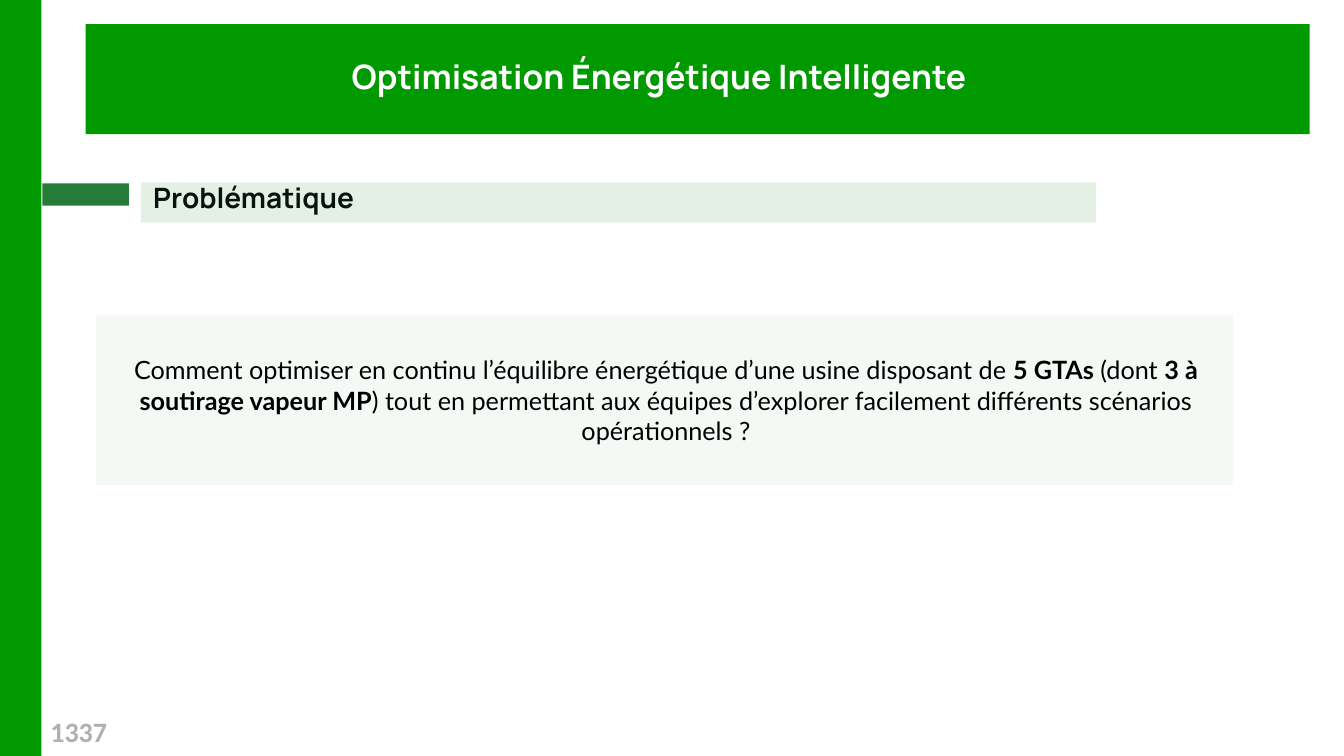
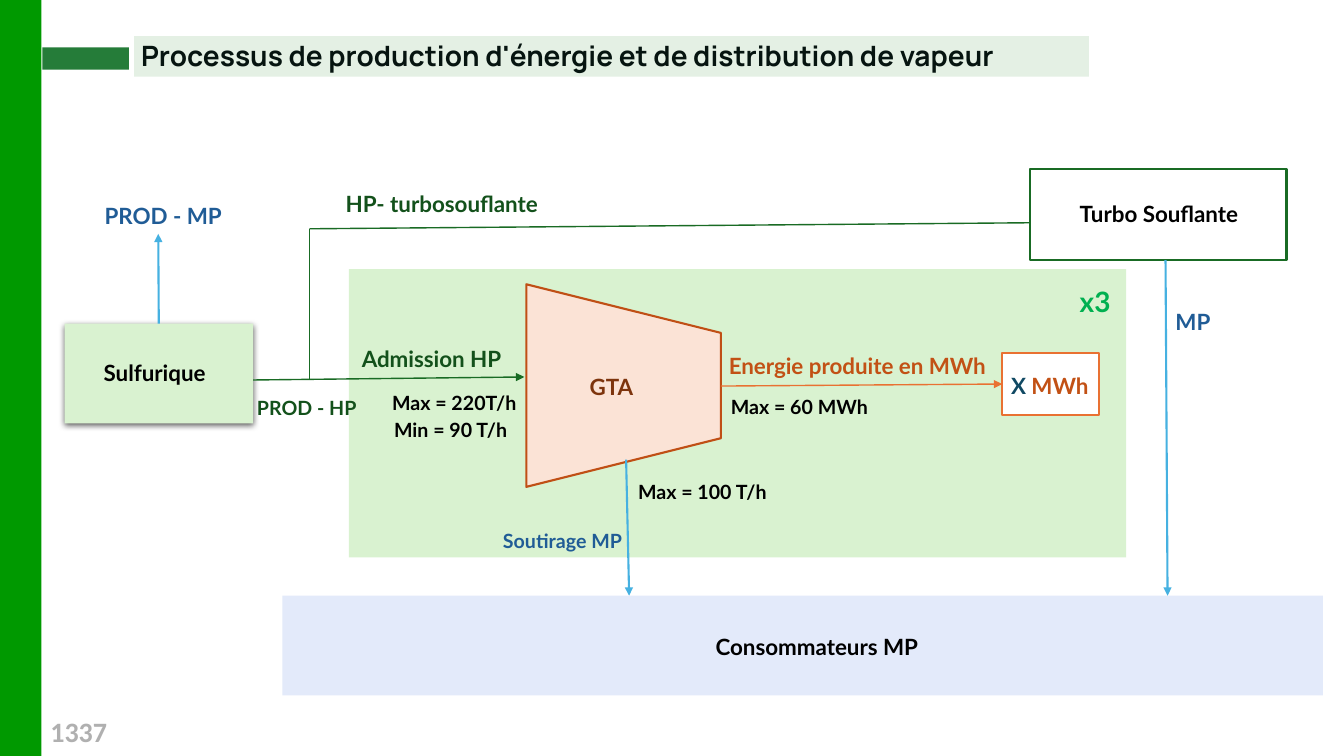
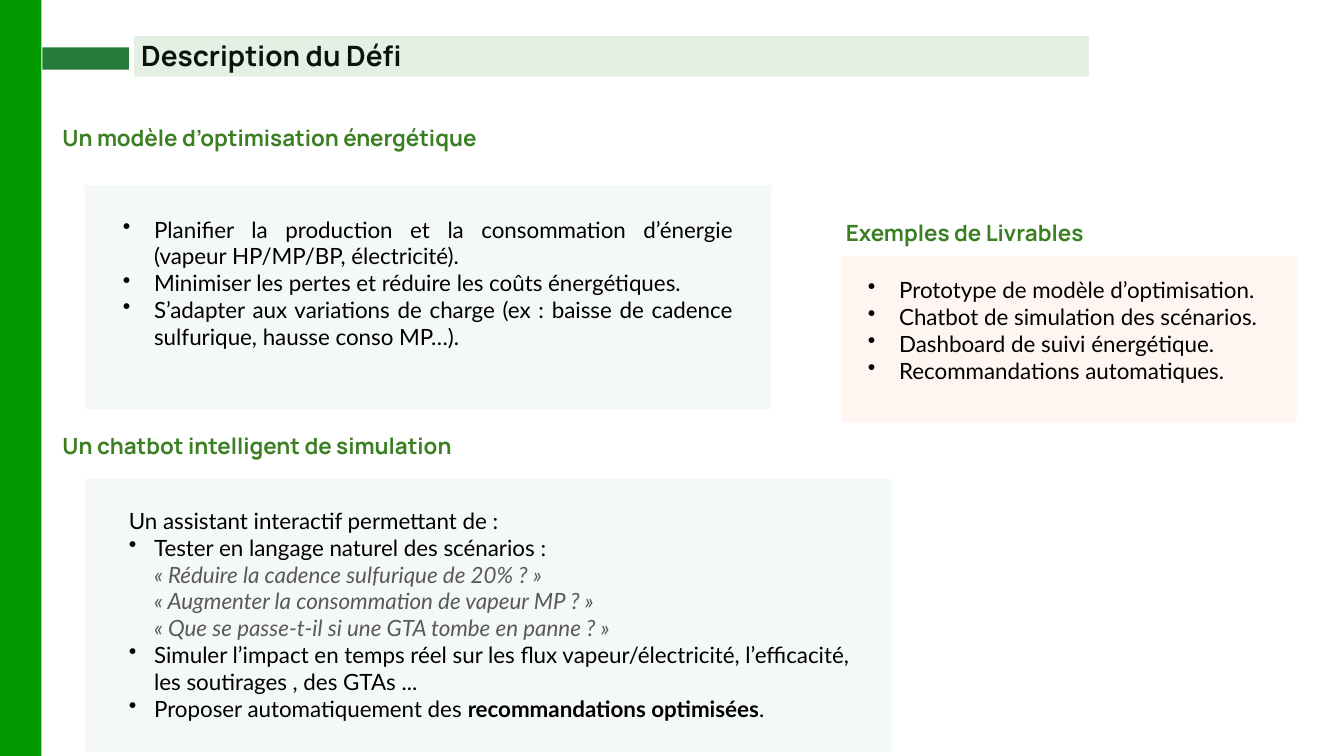
from copy import deepcopy
from dataclasses import dataclass
from typing import Optional

from pptx import Presentation
from pptx.dml.color import RGBColor
from pptx.enum.shapes import MSO_CONNECTOR, MSO_SHAPE
from pptx.enum.text import MSO_AUTO_SIZE, PP_ALIGN
from pptx.oxml.ns import qn
from pptx.oxml.xmlchemy import OxmlElement as new_element
from pptx.util import Inches, Pt

SLIDE_WIDTH, SLIDE_HEIGHT = 13.33, 7.5
BODY_FONT, HEADING_FONT, NUMBER_FONT = "Lato", "Manrope", "Calibri"
COLORS = {
    "brand": "009900", "marker": "257C39", "band": "E4F0E4", "panel": "F5F9F5",
    "peach": "FFF6F2", "zone": "D9F2D0", "turbine": "FBE3D6", "users": "E3EAFA",
    "white": "FFFFFF", "black": "000000", "heading": "061410", "topic": "3B7F23",
    "number": "B0B0B0", "quote": "595959", "hp_line": "196B24", "hp_text": "13511B",
    "mp_line": "46B1E1", "mp_text": "205C96", "power_line": "E97132",
    "power_text": "C25115", "turbine_line": "C04F15", "turbine_text": "7D340D",
    "unknown": "104963", "count": "00B050",
}


@dataclass(frozen=True)
class Span:
    text: str
    color: str = "black"
    bold: bool = False
    italic: bool = False


@dataclass(frozen=True)
class Item:
    spans: tuple[Span, ...]
    indent: float = 0  # hanging bullet indent; 0 means no bullet


@dataclass(frozen=True)
class Area:
    left: float
    top: float
    width: float
    height: float


@dataclass(frozen=True)
class Header:
    band_left: float
    band_top: float
    marker_top: float
    text_left: float
    text_top: float


@dataclass(frozen=True)
class Box:
    name: str
    area: Area
    fill: str
    line: Optional[str] = None
    preset: MSO_SHAPE = MSO_SHAPE.RECTANGLE
    rotation: float = 0


@dataclass(frozen=True)
class Flow:
    start: tuple[float, float]
    end: tuple[float, float]
    color: str
    weight: float = 1
    arrow: bool = True
    start_joint: Optional[tuple[str, int]] = None
    end_joint: Optional[tuple[str, int]] = None


@dataclass(frozen=True)
class Label:
    left: float
    top: float
    spans: tuple[Span, ...]
    size: float = 16


TOP_HEADER = Header(1.33, 0.36, 0.47, 1.4, 0.38)
LOWER_HEADER = Header(1.4, 1.81, 1.82, 1.52, 1.79)


def rgb(name: str) -> RGBColor:
    return RGBColor.from_string(COLORS[name])


# Drawing helpers
def draw_box(page, box: Box):
    area = box.area
    shape = page.shapes.add_shape(box.preset, Inches(area.left), Inches(area.top),
                                  Inches(area.width), Inches(area.height))
    shape.shadow.inherit = False
    shape.rotation = box.rotation
    shape.fill.solid()
    shape.fill.fore_color.rgb = rgb(box.fill)
    if box.line:
        shape.line.color.rgb = rgb(box.line)
        shape.line.width = Pt(1.5)
    else:
        shape.line.fill.background()
    return shape


def draw_panel(page, area: Area, fill: str):
    return draw_box(page, Box("panel", area, fill))


def add_bullet(para, indent: float) -> None:
    properties = para._p.get_or_add_pPr()
    properties.set("marL", str(Inches(indent)))
    properties.set("indent", str(-Inches(indent)))
    bullet = new_element("a:buChar")
    bullet.set("char", "•")
    properties.append(bullet)


def fill_paragraph(para, item: Item, size: float, font: str) -> None:
    for span in item.spans:
        for index, line in enumerate(span.text.split("\n")):
            if index:
                para.add_line_break()
            if not line:
                continue
            run = para.add_run()
            run.text = line
            run.font.name, run.font.size = font, Pt(size)
            run.font.bold, run.font.italic = span.bold, span.italic
            run.font.color.rgb = rgb(span.color)
    # Line breaks take the text size, so that line heights stay equal
    for line_break in para._p.findall(qn("a:br")):
        line_break.insert(0, deepcopy(para.runs[0]._r.rPr))
    if item.indent:
        add_bullet(para, item.indent)


def draw_text(page, area: Area, items: list[Item], size: float, font: str = BODY_FONT,
              align: PP_ALIGN = PP_ALIGN.LEFT, inset: bool = True):
    box = page.shapes.add_textbox(Inches(area.left), Inches(area.top),
                                  Inches(area.width), Inches(area.height))
    frame = box.text_frame
    frame.word_wrap = True
    frame.auto_size = MSO_AUTO_SIZE.SHAPE_TO_FIT_TEXT
    if not inset:
        frame.margin_left = frame.margin_right = frame.margin_top = frame.margin_bottom = 0
    for index, item in enumerate(items):
        para = frame.add_paragraph() if index else frame.paragraphs[0]
        para.alignment = align
        fill_paragraph(para, item, size, font)
    return box


def draw_heading(page, area: Area, text: str, size: float, color: str,
                 font: str = HEADING_FONT, inset: bool = False) -> None:
    draw_text(page, area, [Item((Span(text, color, bold=True),))], size, font, inset=inset)


def draw_label(page, label: Label) -> None:
    width = min(2.8, SLIDE_WIDTH - label.left)
    draw_text(page, Area(label.left, label.top, width, 0.37), [Item(label.spans)], label.size)


def draw_flow(page, flow: Flow, boxes: dict) -> None:
    line = page.shapes.add_connector(MSO_CONNECTOR.STRAIGHT,
                                     *(Inches(value) for value in flow.start + flow.end))
    if flow.start_joint:
        name, site = flow.start_joint
        line.begin_connect(boxes[name], site)
    if flow.end_joint:
        name, site = flow.end_joint
        line.end_connect(boxes[name], site)
    line.line.color.rgb = rgb(flow.color)
    line.line.width = Pt(flow.weight)
    if flow.arrow:
        head = new_element("a:tailEnd")
        head.set("type", "triangle")
        line.line._get_or_add_ln().append(head)
    line._element.spPr.append(new_element("a:effectLst"))


def add_shadow(shape) -> None:
    shadow = new_element("a:outerShdw")
    for key, value in (("blurRad", Pt(4.5)), ("dist", Pt(1.5)), ("dir", 90 * 60000),
                       ("algn", "t"), ("rotWithShape", 0)):
        shadow.set(key, str(value))
    color = new_element("a:srgbClr")
    color.set("val", COLORS["black"])
    alpha = new_element("a:alpha")
    alpha.set("val", "63000")
    color.append(alpha)
    shadow.append(color)
    shape._element.spPr.find(qn("a:effectLst")).append(shadow)


# Shared slide frame
def add_page(deck, heading: str, header: Header, numbered: bool = True):
    page = deck.slides.add_slide(deck.slide_layouts[6])
    draw_panel(page, Area(0, 0, 0.41, SLIDE_HEIGHT), "brand")
    draw_panel(page, Area(header.band_left, header.band_top, 9.47, 0.4), "band")
    draw_panel(page, Area(0.42, header.marker_top, 0.86, 0.22), "marker")
    draw_heading(page, Area(header.text_left, header.text_top, 11.27, 0.34),
                 heading, 20, "heading")
    if numbered:
        draw_heading(page, Area(0.5, 7.09, 11.27, 0.34), "1337", 20, "number", NUMBER_FONT)
    return page


# Slide 1: the question
def build_question(deck) -> None:
    page = add_page(deck, "Problématique", LOWER_HEADER)
    draw_panel(page, Area(0.85, 0.24, 12.14, 1.09), "brand")
    draw_heading(page, Area(3.39, 0.51, 6.67, 0.84), "Optimisation Énergétique Intelligente",
                 24, "white", inset=True)
    draw_panel(page, Area(0.95, 3.12, 11.28, 1.69), "panel")
    question = Item((
        Span("Comment optimiser en continu l’équilibre énergétique d’une usine disposant de "),
        Span("5 GTAs", bold=True),
        Span(" (dont "),
        Span("3 à soutirage vapeur MP", bold=True),
        Span(") tout en permettant aux équipes d’explorer facilement "
             "différents scénarios opérationnels ?"),
    ))
    draw_text(page, Area(1.14, 3.47, 10.93, 1.01), [question], 18, align=PP_ALIGN.CENTER)


# Slide 2: the steam and power diagram
def bold(text: str, color: str = "black") -> tuple[Span, ...]:
    return (Span(text, color, bold=True),)


PROCESS_BOXES = [
    Box("zone", Area(3.46, 2.67, 7.71, 2.86), "zone"),
    Box("sulfuric", Area(0.64, 3.21, 1.87, 0.99), "zone"),
    Box("blower", Area(10.22, 1.68, 2.54, 0.9), "white", "hp_line"),
    Box("turbine", Area(5.18, 2.86, 2.01, 1.93), "turbine", "turbine_line",
        MSO_SHAPE.TRAPEZOID, 90),
    Box("users", Area(2.8, 5.91, 10.32, 0.99), "users"),
    Box("power", Area(9.94, 3.5, 0.96, 0.62), "white", "power_line"),
]
PROCESS_FLOWS = [
    Flow((2.51, 3.77), (5.2, 3.74), "hp_line"),
    Flow((3.07, 2.27), (3.07, 3.76), "hp_line", arrow=False),
    Flow((10.22, 2.21), (3.07, 2.27), "hp_line", arrow=False),
    Flow((7.15, 3.83), (9.94, 3.81), "power_line", end_joint=("power", 1)),
    Flow((6.21, 4.56), (6.24, 5.91), "mp_line", 1.5),
    Flow((1.57, 3.21), (1.57, 2.32), "mp_line", 1.5, start_joint=("sulfuric", 0)),
    Flow((11.56, 2.58), (11.58, 5.91), "mp_line", 1.5),
]
PROCESS_LABELS = [
    Label(0.93, 3.51, bold("Sulfurique")),
    Label(0.94, 1.96, bold("PROD - MP", "mp_text")),
    Label(2.45, 3.88, bold("PROD - HP", "hp_text"), 14),
    Label(3.33, 1.84, bold("HP- turbosouflante", "hp_text")),
    Label(3.49, 3.37, bold("Admission HP", "hp_text")),
    Label(3.79, 3.83, bold("Max = 220T/h"), 14),
    Label(3.81, 4.1, bold("Min = 90 T/h"), 14),
    Label(5.75, 3.65, bold("GTA", "turbine_text")),
    Label(6.23, 4.71, bold("Max = 100 T/h"), 14),
    Label(4.89, 5.2, bold("Soutirage MP", "mp_text"), 14),
    Label(7.13, 3.44, bold("Energie produite en MWh", "power_text")),
    Label(7.15, 3.87, bold("Max = 60 MWh"), 14),
    Label(9.93, 3.64, bold("X ", "unknown") + bold("MWh", "power_text")),
    Label(10.61, 2.77, bold("x3", "count"), 20),
    Label(10.61, 1.94, bold("Turbo Souflante")),
    Label(11.56, 3.01, bold("MP", "mp_text")),
    Label(7, 6.23, bold("Consommateurs MP")),
]


def build_process(deck) -> None:
    page = add_page(deck, "Processus de production d'énergie et de distribution de vapeur",
                    TOP_HEADER)
    boxes = {box.name: draw_box(page, box) for box in PROCESS_BOXES}
    add_shadow(boxes["sulfuric"])
    for flow in PROCESS_FLOWS:
        draw_flow(page, flow, boxes)
    for label in PROCESS_LABELS:
        draw_label(page, label)


# Slide 3: the challenge
def bullets(*texts: str) -> list[Item]:
    return [Item((Span(text),), 0.31) for text in texts]


MODEL_GOALS = bullets(
    "Planifier la production et la consommation d’énergie (vapeur HP/MP/BP, électricité).",
    "Minimiser les pertes et réduire les coûts énergétiques.",
    "S’adapter aux variations de charge (ex : baisse de cadence sulfurique, "
    "hausse conso MP…).",
)
DELIVERABLES = bullets(
    "Prototype de modèle d’optimisation.",
    "Chatbot de simulation des scénarios.",
    "Dashboard de suivi énergétique.",
    "Recommandations automatiques.",
)
CHATBOT_GOALS = [
    Item((Span("Un assistant interactif permettant de :"),)),
    Item((Span("Tester en langage naturel des scénarios :\n"),
          Span("« Réduire la cadence sulfurique de 20% ? »\n"
               "« Augmenter la consommation de vapeur MP ? »\n"
               "« Que se passe-t-il si une GTA tombe en panne ? »", "quote", italic=True)), 0.25),
    Item((Span("Simuler l’impact en temps réel sur les flux vapeur/électricité, "
               "l’efficacité, les soutirages , des GTAs ..."),), 0.25),
    Item((Span("Proposer automatiquement des "),
          Span("recommandations optimisées", bold=True), Span(".")), 0.25),
]


@dataclass(frozen=True)
class Topic:
    heading: str
    heading_area: Area
    panel: Area
    fill: str
    text_area: Area
    items: list[Item]
    align: PP_ALIGN = PP_ALIGN.JUSTIFY


TOPICS = [
    Topic("Un modèle d’optimisation énergétique", Area(0.62, 1.23, 11.27, 0.27),
          Area(0.84, 1.84, 6.81, 2.22), "panel", Area(1.12, 2.09, 6.25, 1.72), MODEL_GOALS),
    Topic("Un chatbot intelligent de simulation", Area(0.62, 4.29, 11.27, 0.27),
          Area(0.84, 4.75, 8.01, 2.71), "panel", Area(1.18, 4.98, 7.51, 2.52),
          CHATBOT_GOALS, PP_ALIGN.LEFT),
    Topic("Exemples de Livrables", Area(8.39, 2.17, 4.5, 0.27),
          Area(8.35, 2.54, 4.51, 1.65), "peach", Area(8.51, 2.69, 4.8, 1.45), DELIVERABLES),
]


def build_challenge(deck) -> None:
    page = add_page(deck, "Description du Défi", TOP_HEADER, numbered=False)
    for topic in TOPICS:
        draw_panel(page, topic.panel, topic.fill)
        draw_heading(page, topic.heading_area, topic.heading, 16, "topic")
        draw_text(page, topic.text_area, topic.items, 16, align=topic.align)


def main() -> None:
    deck = Presentation()
    deck.slide_width, deck.slide_height = Inches(SLIDE_WIDTH), Inches(SLIDE_HEIGHT)
    build_question(deck)
    build_process(deck)
    build_challenge(deck)
    deck.save("out.pptx")


if __name__ == "__main__":
    main()
